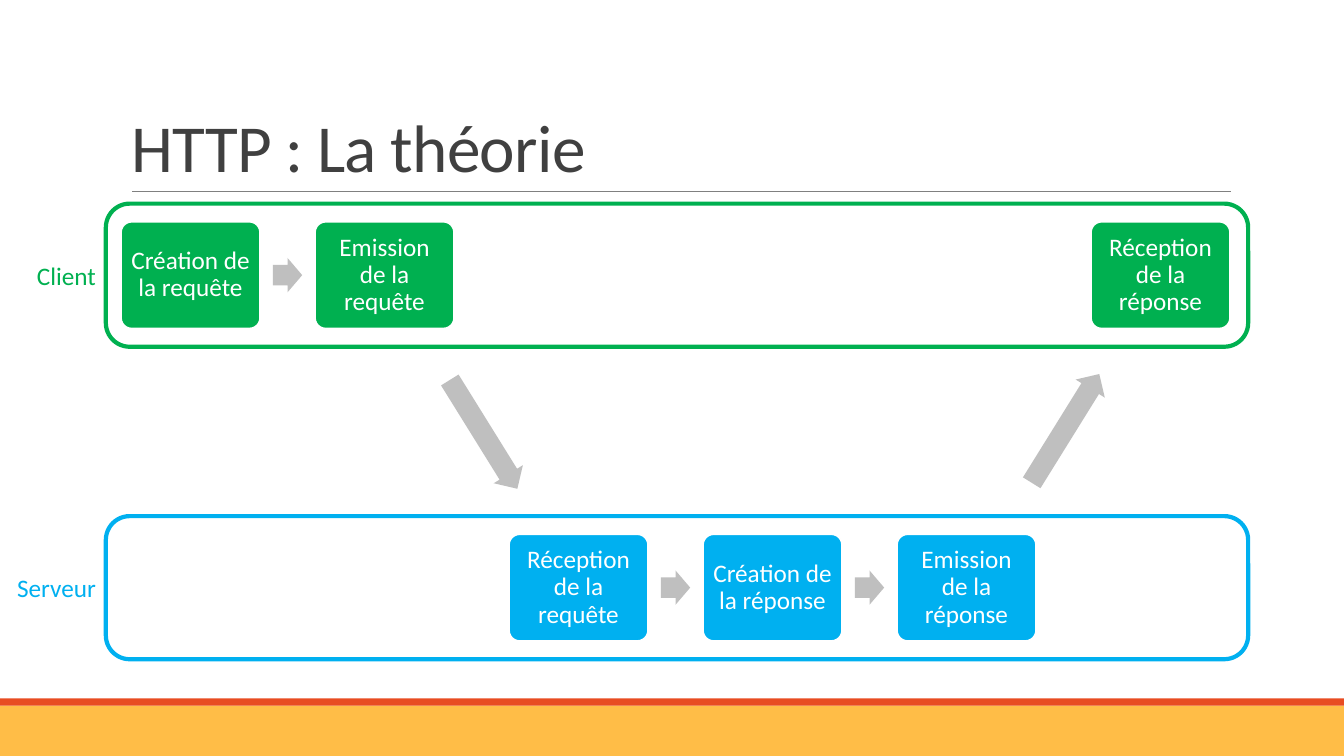
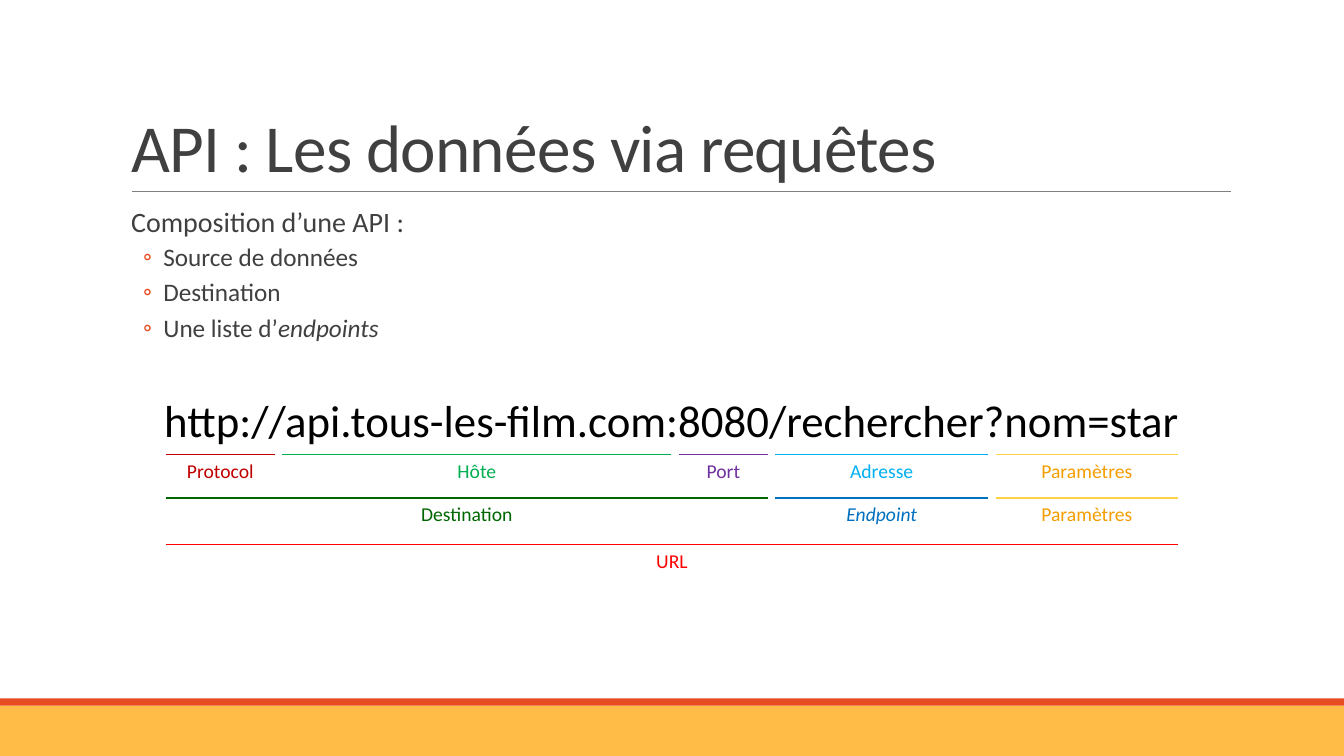
from math import atan2, degrees

from lxml.etree import SubElement
from pptx import Presentation
from pptx.dml.color import RGBColor
from pptx.enum.shapes import MSO_CONNECTOR, MSO_SHAPE as SHAPE
from pptx.enum.text import MSO_ANCHOR as ANCHOR, MSO_AUTO_SIZE, PP_ALIGN as ALIGN
from pptx.oxml.ns import qn
from pptx.util import Inches, Pt

WIDTH, HEIGHT = 13.33, 7.5
FONT = "Calibri"
WHITE, INK, GREY, ARROW = "FFFFFF", "404040", "808080", "BFBFBF"
RED, AMBER = "E84C22", "FFBD47"
CLIENT, SERVER = "00B050", "00B0F0"


# Shared helpers
def color(value):
    return RGBColor.from_string(value)


def inches(box):
    return [Inches(length) for length in box]


def style_run(run, size, ink, italic=None):
    looks = {"name": FONT, "size": Pt(size), "italic": italic}
    for name, value in looks.items():
        setattr(run.font, name, value)
    run.font.color.rgb = color(ink)


def set_frame(frame, **formats):
    for name, value in formats.items():
        setattr(frame, name, value)


def set_paragraph(paragraph, **formats):
    for name, value in formats.items():
        setattr(paragraph, name, value)


def write(frame, text, size, ink, **formats):
    paragraph = frame.paragraphs[0]
    set_paragraph(paragraph, **formats)
    run = paragraph.add_run()
    run.text = text
    style_run(run, size, ink)
    return run


def add_form(slide, kind, box, fill=None, line=None, weight=1, adjustments=()):
    form = slide.shapes.add_shape(kind, *inches(box))
    form.shadow.inherit = False
    for index, value in enumerate(adjustments):
        form.adjustments[index] = value
    if fill:
        form.fill.solid()
        form.fill.fore_color.rgb = color(fill)
    else:
        form.fill.background()
    if line:
        form.line.color.rgb = color(line)
        form.line.width = Pt(weight)
    else:
        form.line.fill.background()
    return form


def add_label(slide, box, text, size, ink, align, wrap=True):
    label = slide.shapes.add_textbox(*inches(box))
    label.text_frame.word_wrap = wrap
    write(label.text_frame, text, size, ink, alignment=align)


# Bands and title rule, moved to the master that both slides use
def decorate_master(deck, slide):
    footer = add_form(slide, SHAPE.RECTANGLE, (0, 7, WIDTH, 0.5), AMBER)
    stripe = add_form(slide, SHAPE.RECTANGLE, (0, 6.93, WIDTH, 0.07), RED)
    rule = slide.shapes.add_connector(
        MSO_CONNECTOR.STRAIGHT, *inches((1.31, 1.9, 12.21, 1.9)))
    rule.line.color.rgb = color(GREY)
    rule.line.width = Pt(0.5)
    SubElement(rule.element.spPr, qn("a:effectLst"))
    for part in (footer, stripe, rule):
        deck.slide_master.shapes.element.append(part.element)


def place(holder, box):
    holder.left, holder.top, holder.width, holder.height = inches(box)


def add_titled_slide(deck, layout, text):
    slide = deck.slides.add_slide(deck.slide_layouts[layout])
    title = slide.shapes.title
    place(title, (1.2, 0.31, 11, 1.59))
    set_frame(title.text_frame, vertical_anchor=ANCHOR.BOTTOM,
              auto_size=MSO_AUTO_SIZE.NONE, word_wrap=True)
    run = write(title.text_frame, text, 48, INK,
                alignment=ALIGN.LEFT, line_spacing=0.85)
    run.font.element.set("spc", "-50") if hasattr(run.font, "element") \
        else run._r.get_or_add_rPr().set("spc", "-50")
    return slide


# HTTP exchange: one lane each for client and server, six step columns
STEP_W, STEP_H, PITCH = 1.38, 1.06, 1.924
FIRST_STEP = 1.2
ARROW_H = 0.34


def step_center(column):
    return FIRST_STEP + PITCH * column + STEP_W / 2


def add_arrow(slide, center_x, center_y, length, angle=0):
    box = (center_x - length / 2, center_y - ARROW_H / 2, length, ARROW_H)
    arrow = add_form(slide, SHAPE.RIGHT_ARROW, box, ARROW,
                     adjustments=(0.6, 0.5))
    arrow.rotation = angle


def add_step(slide, column, middle, text, fill):
    box = (step_center(column) - STEP_W / 2, middle - STEP_H / 2, STEP_W, STEP_H)
    step = add_form(slide, SHAPE.ROUNDED_RECTANGLE, box, fill, WHITE, 1.25, (0.1,))
    margins = {f"margin_{side}": Inches(0.07)
               for side in ("left", "top", "right", "bottom")}
    set_frame(step.text_frame, word_wrap=True,
              vertical_anchor=ANCHOR.MIDDLE, **margins)
    write(step.text_frame, text, 18, WHITE,
          alignment=ALIGN.CENTER, line_spacing=0.9)


def add_lane(slide, box, name, ink, steps):
    left, top, width, height = box
    middle = top + height / 2
    for column, text in steps.items():
        add_step(slide, column, middle, text, ink)
        if column + 1 in steps:
            add_arrow(slide, step_center(column) + PITCH / 2, middle, 0.29)
    add_form(slide, SHAPE.ROUNDED_RECTANGLE, box, line=ink, weight=3)
    add_label(slide, (left - 0.99, middle - 0.2, 0.99, 0.4),
              name, 18, ink, ALIGN.RIGHT)
    return middle


def add_crossing(slide, column, start, end):
    """Arrow from a step in one lane to the next column in the other lane."""
    angle = degrees(atan2(end - start, PITCH))
    nudge = 0.03 if end > start else -0.03
    add_arrow(slide, step_center(column) + PITCH / 2 + 0.02,
              (start + end) / 2 + nudge, 1.27, angle % 360)


def build_exchange(slide):
    client = add_lane(slide, (1.05, 2.02, 11.33, 1.42), "Client", CLIENT, {
        0: "Création de la requête",
        1: "Emission de la requête",
        5: "Réception de la réponse"})
    server = add_lane(slide, (1.05, 5.12, 11.33, 1.42), "Serveur", SERVER, {
        2: "Réception de la requête",
        3: "Création de la réponse",
        4: "Emission de la réponse"})
    add_crossing(slide, 1, client, server)
    add_crossing(slide, 4, server, client)


# API list in the body placeholder
def add_bullet(paragraph, char, margin, indent):
    props = paragraph._p.get_or_add_pPr()
    props.set("marL", str(Inches(margin)))
    props.set("indent", str(Inches(indent)))
    if char:
        tint = SubElement(props, qn("a:buClr"))
        SubElement(tint, qn("a:srgbClr"), val=RED)
        SubElement(props, qn("a:buFont"), typeface=FONT)
        SubElement(props, qn("a:buChar"), char=char)
    else:
        SubElement(props, qn("a:buNone"))


def fill_list(body, box, heading, items):
    place(body, box)
    frame = body.text_frame
    set_frame(frame, margin_left=0, margin_right=0, word_wrap=True,
              auto_size=MSO_AUTO_SIZE.NONE, vertical_anchor=ANCHOR.TOP)
    write(frame, heading, 20, INK, line_spacing=0.9,
          space_before=Pt(12), space_after=Pt(2))
    add_bullet(frame.paragraphs[0], None, 0.1, 0)
    for plain, emphasis in items:
        item = frame.add_paragraph()
        set_paragraph(item, level=1, line_spacing=0.9,
                      space_before=Pt(2), space_after=Pt(4))
        add_bullet(item, "◦", 0.42, -0.2)
        for text, italic in ((plain, None), (emphasis, True)):
            if text:
                run = item.add_run()
                run.text = text
                style_run(run, 18, INK, italic)


# URL anatomy: brackets of one cell under the parts of the address
PART_WIDTHS = (1.09, 3.87, 0.89, 2.12, 1.82)
BRACKETS = {  # top: (first part, end part, text, ink, rule, italic)
    4.51: [(0, 1, "Protocol", "C00000", "C00000", None),
           (1, 2, "Hôte", "00B050", "00B050", None),
           (2, 3, "Port", "7030A0", "7030A0", None),
           (3, 4, "Adresse", "00B0F0", "00B0F0", None),
           (4, 5, "Paramètres", "F49D00", "FFD147", None)],
    4.94: [(0, 3, "Destination", "006600", "006600", None),
           (3, 4, "Endpoint", "0070C0", "0070C0", True),
           (4, 5, "Paramètres", "F49D00", "FFD147", None)],
    5.4: [(0, 5, "URL", "FF0000", "FF0000", None)],
}


def add_bracket(slide, box, text, ink, rule, italic):
    table = slide.shapes.add_table(1, 1, *inches(box)).table
    set_frame(table, first_row=False, horz_banding=False)
    cell = table.cell(0, 0)
    run = write(cell.text_frame, text, 14, ink, alignment=ALIGN.CENTER)
    run.font.italic = italic
    props = cell._tc.get_or_add_tcPr()
    for side, tint in {"L": WHITE, "R": WHITE, "T": rule, "B": WHITE}.items():
        border = SubElement(props, qn(f"a:ln{side}"), w=str(Pt(1)))
        paint = SubElement(border, qn("a:solidFill"))
        SubElement(paint, qn("a:srgbClr"), val=tint)
    cell.fill.background()


def build_anatomy(slide, left, width):
    gap = (width - sum(PART_WIDTHS)) / (len(PART_WIDTHS) - 1)
    add_label(slide, (left - 0.17, 3.85, width + 0.34, 0.64),
              "http://api.tous-les-film.com:8080/rechercher?nom=star",
              32, "000000", ALIGN.CENTER, wrap=False)
    for top, brackets in BRACKETS.items():
        for first, end, *look in brackets:
            start = left + sum(PART_WIDTHS[:first]) + gap * first
            span = sum(PART_WIDTHS[first:end]) + gap * (end - first - 1)
            add_bracket(slide, (start, top, span, 0.34), *look)


deck = Presentation()
deck.slide_width, deck.slide_height = inches((WIDTH, HEIGHT))

exchange = add_titled_slide(deck, 5, "HTTP : La théorie")
decorate_master(deck, exchange)
build_exchange(exchange)

api = add_titled_slide(deck, 1, "API : Les données via requêtes")
fill_list(api.placeholders[1], (1.2, 2.02, 11, 4.4), "Composition d’une API :", [
    ("Source de données", ""),
    ("Destination", ""),
    ("Une liste d’", "endpoints")])
build_anatomy(api, 1.64, 10.05)

deck.save("out.pptx")
